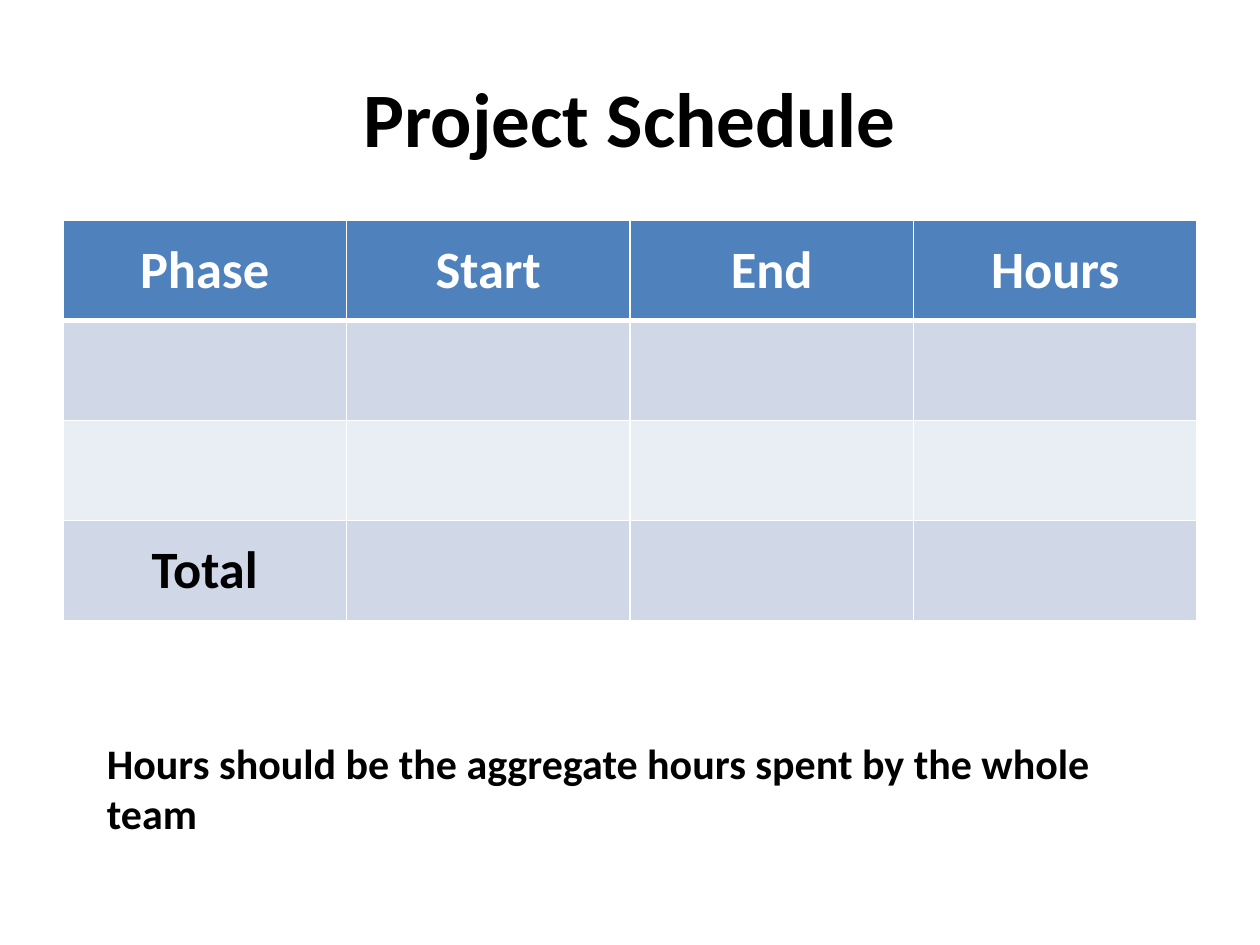
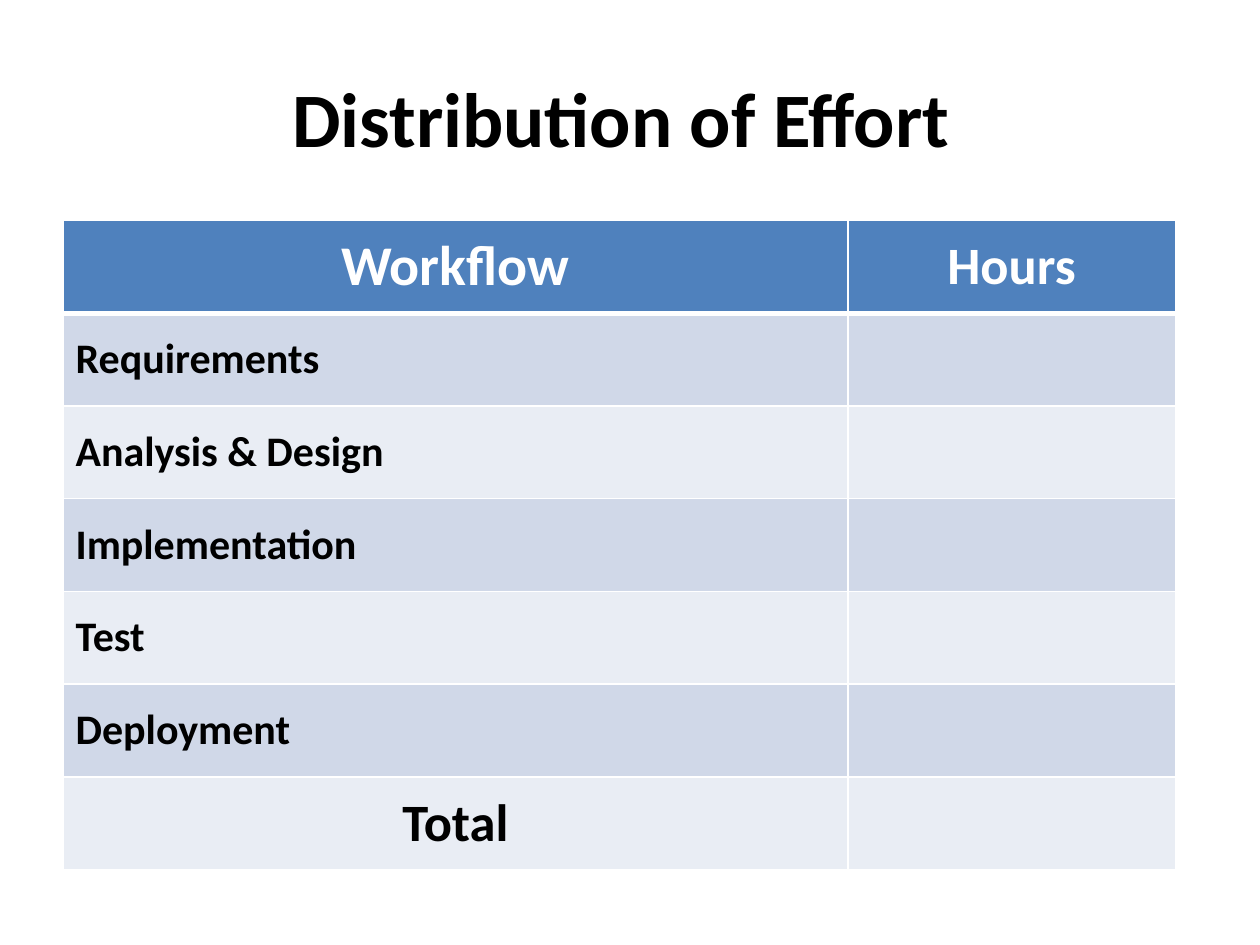
from dataclasses import dataclass

from lxml.etree import SubElement
from pptx import Presentation
from pptx.dml.color import RGBColor
from pptx.enum.text import MSO_ANCHOR as Anchor, PP_ALIGN as Align
from pptx.oxml.ns import qn
from pptx.util import Pt


@dataclass(frozen=True)
class Theme:
    font: str = "Calibri"
    ink: str = "000000"
    paper: str = "FFFFFF"
    header: str = "4F81BD"
    bands: tuple = ("D0D8E8", "E9EDF4")
    title_size: int = 44
    large_header_size: int = 32
    header_size: int = 30
    body_size: int = 24
    thin_line: int = 1
    thick_line: int = 3


THEME = Theme()


def write_text(frame, text, size=THEME.body_size, color=THEME.ink, align=Align.LEFT):
    """Put one bold paragraph into a text frame."""
    paragraph = frame.paragraphs[0]
    paragraph.alignment = align
    run = paragraph.add_run()
    run.text = text
    run.font.name = THEME.font
    run.font.size = Pt(size)
    run.font.bold = True
    run.font.color.rgb = RGBColor.from_string(color)


def set_borders(cell, color, **widths):
    """Draw cell borders; the sides must come in the order L, R, T, B."""
    properties = cell._tc.get_or_add_tcPr()
    for index, (side, width) in enumerate(widths.items()):
        line = SubElement(properties, qn(f"a:ln{side}"), w=str(Pt(width)))
        fill = SubElement(line, qn("a:solidFill"))
        SubElement(fill, qn("a:srgbClr"), val=color)
        properties.insert(index, line)


class Deck:
    def __init__(self, theme, width, height):
        self.theme = theme
        self.presentation = Presentation()
        self.presentation.slide_width = Pt(width)
        self.presentation.slide_height = Pt(height)
        self.slide = None

    def add_slide(self, title):
        layout = self.presentation.slide_layouts[6]
        self.slide = self.presentation.slides.add_slide(layout)
        background = self.slide.background.fill
        background.solid()
        background.fore_color.rgb = RGBColor.from_string(self.theme.paper)
        self.add_text(title, 36, 21.6, 648, 90, anchor=Anchor.MIDDLE,
                      size=self.theme.title_size, align=Align.CENTER)

    def add_text(self, text, left, top, width, height, anchor=Anchor.TOP, **style):
        shape = self.slide.shapes.add_textbox(Pt(left), Pt(top), Pt(width), Pt(height))
        shape.text_frame.word_wrap = True
        shape.text_frame.vertical_anchor = anchor
        write_text(shape.text_frame, text, **style)

    def add_table(self, headers, labels, column_widths, row_height):
        """headers holds (text, size) pairs; labels fill the first column."""
        theme = self.theme
        row_count = len(labels) + 2
        table = self.slide.shapes.add_table(
            row_count, len(headers), Pt(36), Pt(126),
            Pt(sum(column_widths)), Pt(row_height * row_count)).table
        for column, width in zip(table.columns, column_widths):
            column.width = Pt(width)

        # Banded fills and white rules
        for row_index, row in enumerate(table.rows):
            row.height = Pt(row_height)
            color = theme.bands[(row_index - 1) % 2] if row_index else theme.header
            top = theme.thick_line if row_index == 1 else theme.thin_line
            bottom = theme.thin_line if row_index else theme.thick_line
            for cell in row.cells:
                cell.vertical_anchor = Anchor.MIDDLE
                cell.fill.solid()
                cell.fill.fore_color.rgb = RGBColor.from_string(color)
                set_borders(cell, theme.paper, L=theme.thin_line,
                            R=theme.thin_line, T=top, B=bottom)

        # Header, row labels and total
        for column_index, (text, size) in enumerate(headers):
            write_text(table.cell(0, column_index).text_frame, text, size=size,
                       color=theme.paper, align=Align.CENTER)
        for row_index, label in enumerate(labels, start=1):
            if label:
                write_text(table.cell(row_index, 0).text_frame, label)
        write_text(table.cell(row_count - 1, 0).text_frame, "Total",
                   size=theme.header_size, align=Align.CENTER)


deck = Deck(THEME, 720, 540)

# Schedule by phase
deck.add_slide("Project Schedule")
deck.add_table([(name, THEME.header_size) for name in ("Phase", "Start", "End", "Hours")],
               labels=["", ""], column_widths=[162] * 4, row_height=57.2)
deck.add_text("Hours should be the aggregate hours spent by the whole team",
              54, 417.6, 601.2, 65.5)

# Effort by workflow
deck.add_slide("Distribution of Effort ")
deck.add_table([("Workflow", THEME.large_header_size), ("Hours", THEME.header_size)],
               labels=["Requirements", "Analysis & Design", "Implementation",
                       "Test", "Deployment"],
               column_widths=[448.5, 187.2], row_height=53)

deck.presentation.save("out.pptx")
